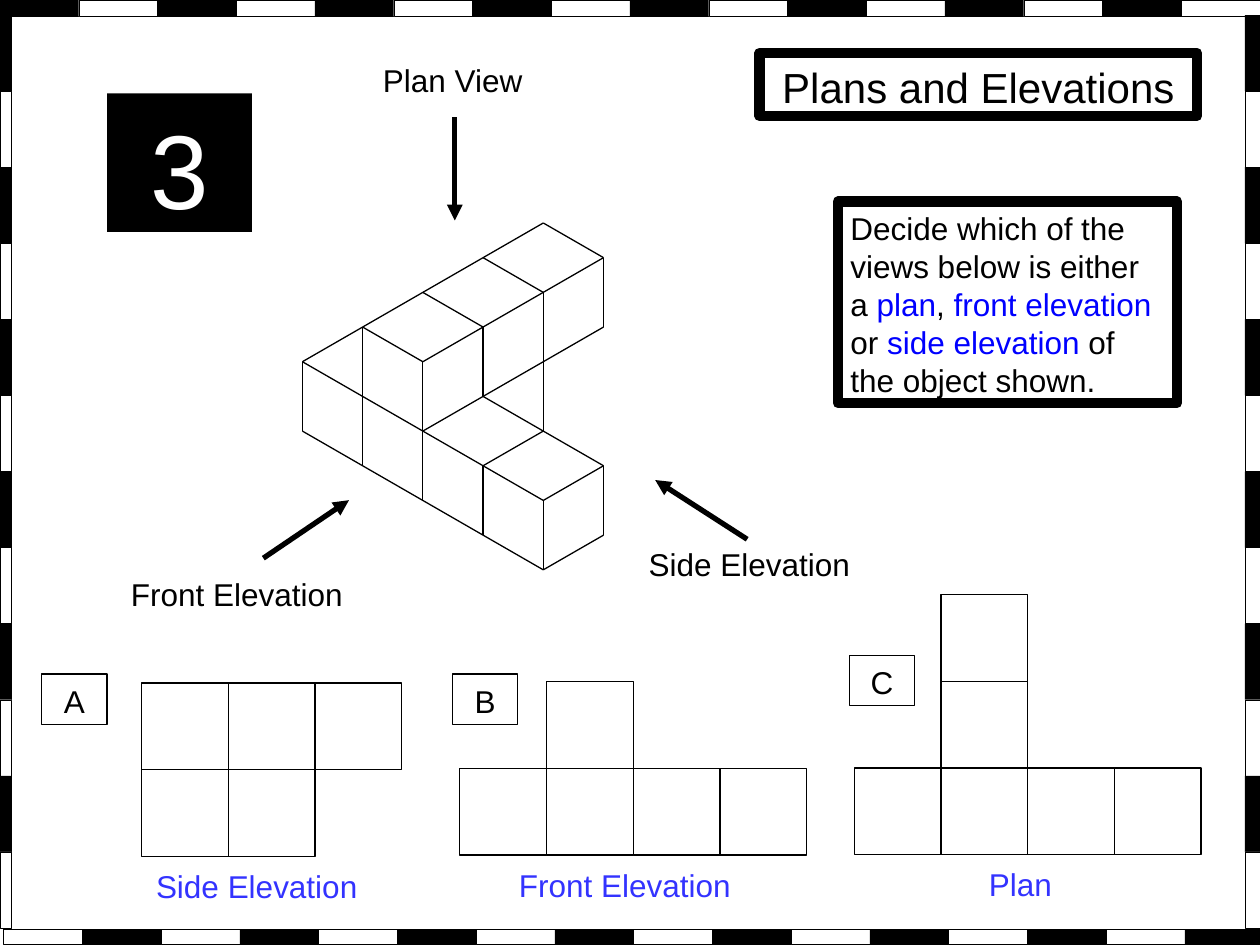
from typing import NamedTuple, Optional

import pptx
import pptx.dml.color
import pptx.enum.shapes
import pptx.enum.text
import pptx.oxml
import pptx.oxml.ns
import pptx.util

COLORS = {"black": "000000", "white": "FFFFFF", "term": "0000FF", "answer": "3333FF"}
WIDTH, HEIGHT = pptx.util.Inches(10), pptx.util.Inches(7.5)
ALIGN = pptx.enum.text.PP_ALIGN

# Places and sizes are percentages of the slide's width and height.
TILE_W, TILE_H = 6.88, 9.17
ISO_X, ISO_Y, ISO_COL, ISO_ROW = 24, 23.6, 4.78, 3.67
LABEL_H = 5.33


class Run(NamedTuple):
    text: str
    color: str = "black"


class Box(NamedTuple):
    x: float
    y: float
    w: float
    h: float
    runs: tuple[Run, ...] = ()
    size: float = 18
    align: ALIGN = ALIGN.LEFT
    fill: Optional[str] = None
    border: float = 0


class Line(NamedTuple):
    x1: float
    y1: float
    x2: float
    y2: float


class View(NamedTuple):
    """A flat view: its top-left corner and its tiles as (column, row)."""
    x: float
    y: float
    tiles: tuple[tuple[int, int], ...]


class Strip(NamedTuple):
    """A run of border blocks, alternating between two colours."""
    x: float
    y: float
    w: float
    h: float
    dx: float
    dy: float
    count: int
    fills: tuple[str, str]


# Edges of the solid on an isometric grid: column, row to column, row
EDGES = [
    Line(4, 10, 5, 9), Line(4, 10, 0, 6), Line(4, 10, 4, 8), Line(4, 8, 5, 7),
    Line(4, 8, 0, 4), Line(2, 8, 2, 4), Line(3, 9, 3, 7), Line(5, 7, 3, 5),
    Line(2, 6, 5, 3), Line(3, 7, 4, 6), Line(1, 3, 1, 7), Line(2, 4, 5, 1),
    Line(2, 4, 1, 3), Line(1, 3, 4, 0), Line(2, 2, 3, 3), Line(5, 7, 5, 9),
    Line(3, 3, 3, 5), Line(3, 1, 4, 2), Line(4, 2, 4, 6), Line(4, 0, 5, 1),
    Line(5, 1, 5, 3), Line(0, 6, 0, 4), Line(0, 4, 1, 3),
]

ARROWS = [
    Line(20.9, 59.07, 27.7, 52.93),
    Line(59.3, 57.07, 52, 50.8),
    Line(36.1, 12.4, 36.1, 23.33),
]

VIEWS = [
    View(11.25, 72.27, ((0, 0), (1, 0), (2, 0), (0, 1), (1, 1))),
    View(36.5, 72.13, ((1, 0), (0, 1), (1, 1), (2, 1), (3, 1))),
    View(67.8, 62.93, ((1, 0), (1, 1), (0, 2), (1, 2), (2, 2), (3, 2))),
]

DARK_FIRST, LIGHT_FIRST = ("black", "white"), ("white", "black")
STRIPS = [
    Strip(0, 0, 6.25, 1.7, 6.25, 0, 16, DARK_FIRST),
    Strip(0.3, 98.33, 6.25, 1.6, 6.25, 0, 16, LIGHT_FIRST),
    Strip(98.8, 1.6, 1.2, 8.05, 0, 8.05, 12, DARK_FIRST),
    Strip(0, 1.6, 0.9, 8.05, 0, 8.05, 12, DARK_FIRST),
]

BOXES = [
    Box(60.3, 5.6, 34.7, 6.67, (Run("Plans and Elevations"),), 24, ALIGN.CENTER, border=6),
    Box(66.5, 21.33, 26.9, 21.33, (
        Run("Decide which of the views below is either a "), Run("plan", "term"),
        Run(", "), Run("front elevation", "term"), Run(" or "),
        Run("side elevation", "term"), Run(" of the object shown."),
    ), border=6),
    Box(8.5, 9.87, 11.5, 14.67, (Run("3", "white"),), 60, ALIGN.CENTER, fill="black"),
    Box(9.4, 60, 19.5, LABEL_H, (Run("Front Elevation"),)),
    Box(50.5, 56.8, 19.5, LABEL_H, (Run("Side Elevation"),)),
    Box(29.4, 5.6, 14, LABEL_H, (Run("Plan View"),)),
    Box(11.4, 90.93, 22.3, LABEL_H, (Run("Side Elevation", "answer"),)),
    Box(40.2, 90.8, 22.3, LABEL_H, (Run("Front Elevation", "answer"),)),
    Box(77.5, 90.67, 15.9, LABEL_H, (Run("Plan", "answer"),)),
]
BOXES += [
    Box(x, y, 5.2, LABEL_H, (Run(letter),), align=ALIGN.CENTER, border=0.75)
    for letter, x, y in (("A", 3.3, 71.33), ("B", 35.9, 71.33), ("C", 67.4, 69.33))
]


def across(share: float) -> int:
    return round(WIDTH * share / 100)


def down(share: float) -> int:
    return round(HEIGHT * share / 100)


def rgb(name: str) -> pptx.dml.color.RGBColor:
    return pptx.dml.color.RGBColor.from_string(COLORS[name])


def write_text(tf, box: Box) -> None:
    tf.word_wrap = True
    tf.vertical_anchor = pptx.enum.text.MSO_ANCHOR.TOP
    tf.margin_left = tf.margin_right = pptx.util.Inches(0.1)
    tf.margin_top = pptx.util.Inches(0.05) + pptx.util.Pt(box.size * 0.05)
    tf.margin_bottom = 0
    p = tf.paragraphs[0]
    p.alignment = box.align
    p.line_spacing = pptx.util.Pt(box.size * 1.2)
    for run in box.runs:
        r = p.add_run()
        r.text = run.text
        r.font.name = "Arial"
        r.font.size = pptx.util.Pt(box.size)
        r.font.color.rgb = rgb(run.color)


def draw_box(s, box: Box) -> None:
    place = across(box.x), down(box.y), across(box.w), down(box.h)
    if box.fill or box.border:
        sp = s.shapes.add_shape(pptx.enum.shapes.MSO_SHAPE.RECTANGLE, *place)
        sp.shadow.inherit = False
        if box.fill:
            sp.fill.solid()
            sp.fill.fore_color.rgb = rgb(box.fill)
        else:
            sp.fill.background()
        if box.border:
            sp.line.color.rgb = rgb("black")
            sp.line.width = pptx.util.Pt(box.border)
        else:
            sp.line.fill.background()
    else:
        sp = s.shapes.add_textbox(*place)
    if box.runs:
        write_text(sp.text_frame, box)


def draw_line(s, line: Line, width: float, arrow: bool = False) -> None:
    sp = s.shapes.add_connector(
        pptx.enum.shapes.MSO_CONNECTOR.STRAIGHT,
        across(line.x1), down(line.y1), across(line.x2), down(line.y2))
    sp.line.color.rgb = rgb("black")
    sp.line.width = pptx.util.Pt(width)
    if arrow:
        tail = pptx.oxml.parse_xml(
            f'<a:tailEnd {pptx.oxml.ns.nsdecls("a")} type="triangle"/>')
        sp.line._get_or_add_ln().append(tail)
    sp._element.spPr.append(
        pptx.oxml.parse_xml(f'<a:effectLst {pptx.oxml.ns.nsdecls("a")}/>'))


def draw_edge(s, edge: Line) -> None:
    draw_line(s, Line(ISO_X + edge.x1 * ISO_COL, ISO_Y + edge.y1 * ISO_ROW,
                      ISO_X + edge.x2 * ISO_COL, ISO_Y + edge.y2 * ISO_ROW), 0.75)


def draw_view(s, view: View) -> None:
    for col, row in view.tiles:
        draw_box(s, Box(view.x + col * TILE_W, view.y + row * TILE_H,
                        TILE_W, TILE_H, border=0.75))


def draw_strip(s, strip: Strip) -> None:
    for i in range(strip.count):
        draw_box(s, Box(strip.x + i * strip.dx, strip.y + i * strip.dy,
                        strip.w, strip.h, fill=strip.fills[i % 2], border=0.25))


def main() -> None:
    prs = pptx.Presentation()
    prs.slide_width, prs.slide_height = WIDTH, HEIGHT
    s = prs.slides.add_slide(prs.slide_layouts[6])
    for edge in EDGES:
        draw_edge(s, edge)
    for arrow in ARROWS:
        draw_line(s, arrow, 3, arrow=True)
    for view in VIEWS:
        draw_view(s, view)
    for strip in STRIPS:
        draw_strip(s, strip)
    for box in BOXES:
        draw_box(s, box)
    prs.save("out.pptx")


if __name__ == "__main__":
    main()
